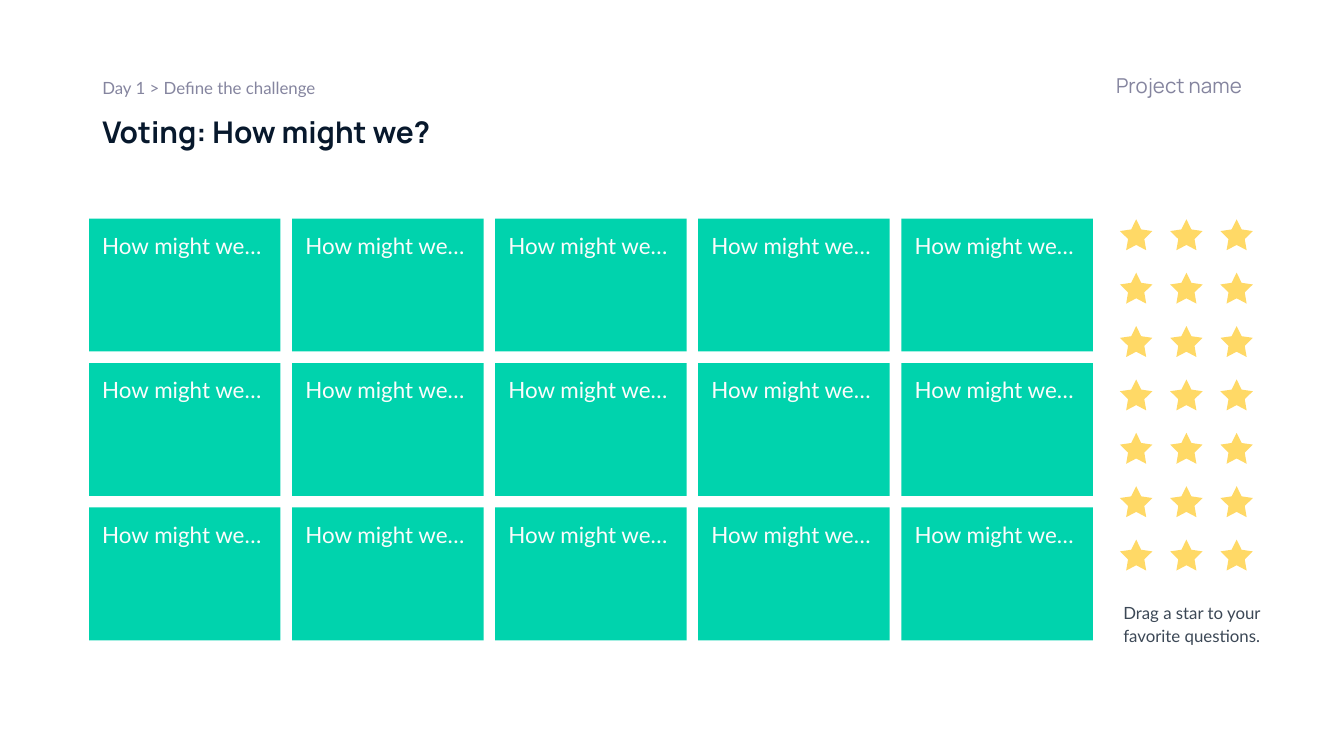
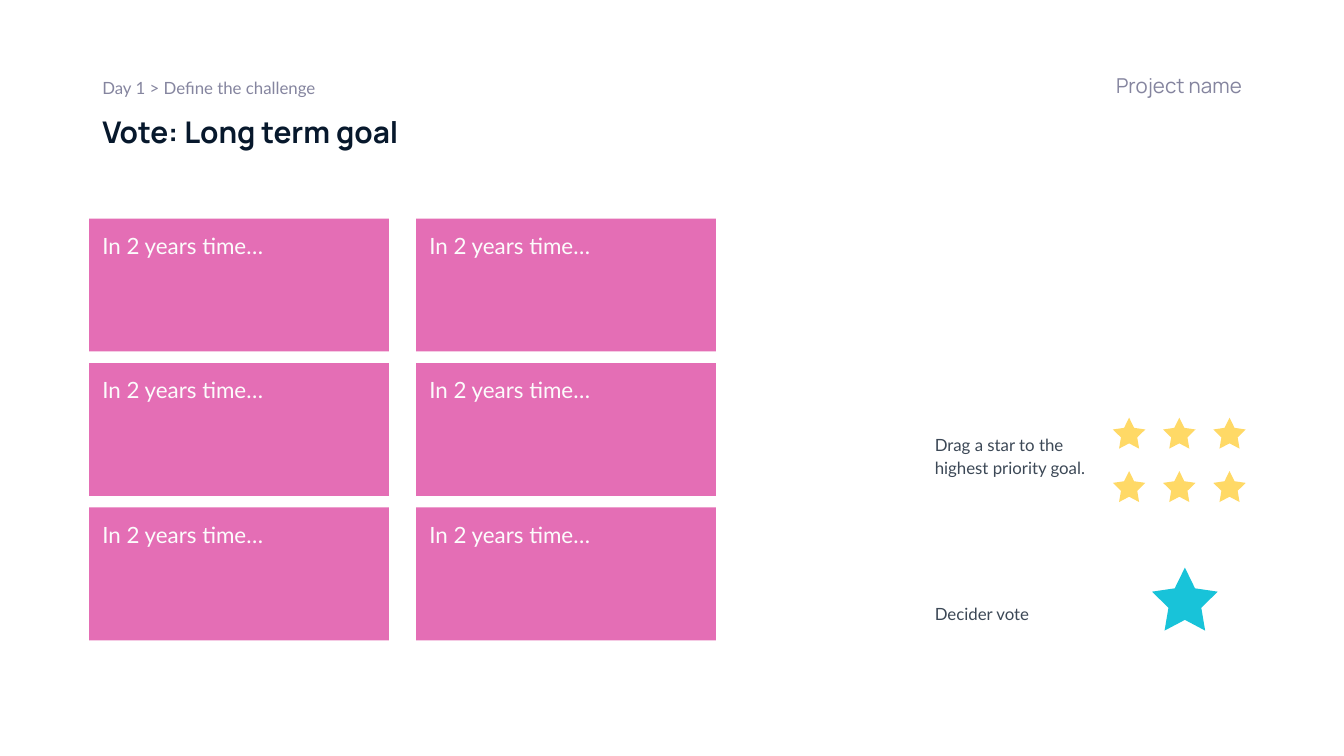
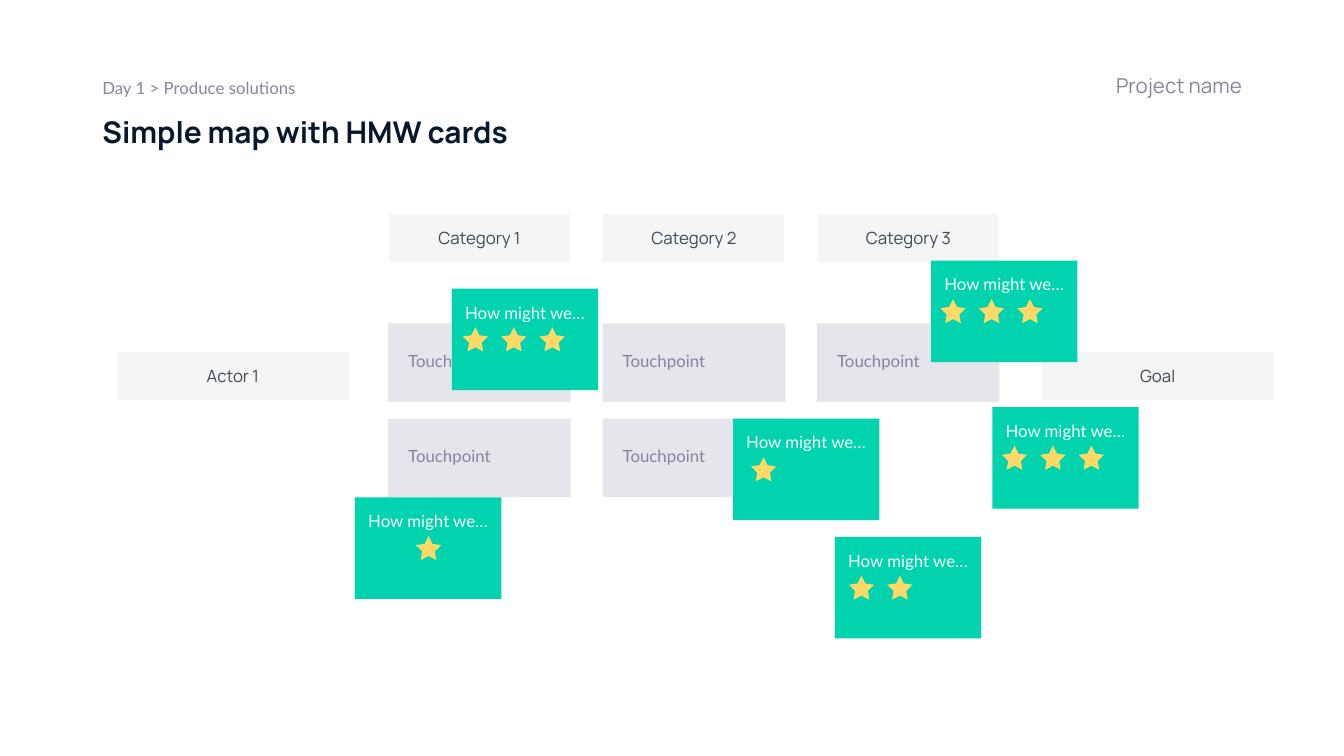
import pptx
import pptx.util
import pptx.dml.color
import pptx.enum.shapes
import pptx.enum.text

Pt = pptx.util.Pt
SHAPE = pptx.enum.shapes.MSO_SHAPE
ALIGN = pptx.enum.text.PP_ALIGN
ANCHOR = pptx.enum.text.MSO_ANCHOR

GREEN, PINK, CYAN, YELLOW = "00D3AD", "E46EB5", "18C3D9", "FFD966"
LIGHT, LILAC = "F5F5F5", "E5E5EB"
WHITE, NAVY, MUTED, SLATE = "FCFCFC", "07182C", "85859F", "3C4856"

# Text styles: font, colour, frame (insets are left, top, right, bottom) and paragraph
INSETS = (7.2, 7.2, 7.2, 7.2)
BASE = {"font": {"name": "Lato", "size": Pt(9), "bold": False}, "color": MUTED,
        "anchor": ANCHOR.TOP, "insets": INSETS,
        "para": {"alignment": ALIGN.LEFT}}


def style(font=None, **changes):
    return {**BASE, **changes, "font": {**BASE["font"], **(font or {})}}


TITLE = style({"name": "Manrope", "size": Pt(16), "bold": True}, color=NAVY)
CRUMB = style()
PROJECT = style({"name": "Manrope", "size": Pt(11)}, anchor=ANCHOR.BOTTOM,
                insets=(7.2, 7.2, 7.2, 4.5), para={"alignment": ALIGN.RIGHT})
CARD = style({"size": Pt(12)}, color=WHITE)
SMALL_CARD = style(color=WHITE, insets=(7.2, 7.2, 5, 7.2))
HINT_PARA = {"alignment": ALIGN.LEFT, "line_spacing": 1.15,
             "space_before": Pt(20), "space_after": Pt(6)}
HINT = style(color=SLATE, para=HINT_PARA)
HINT_MIDDLE = {**HINT, "anchor": ANCHOR.MIDDLE}
TOUCHPOINT = style(anchor=ANCHOR.MIDDLE, insets=(10.8, 7.2, 10.8, 7.2),
                   para={"alignment": ALIGN.LEFT, "line_spacing": 0.8})
HEADING = style({"name": "Manrope"}, color=SLATE, insets=(8.6, 7.2, 8.6, 7.2),
                para={"alignment": ALIGN.CENTER})

# Content; boxes are left, top, width, height in points
PROJECT_NAME = "Project name"
HMW = "How might we…"
VOTING = {
    "crumb": "Day 1 > Define the challenge", "title": "Voting: How might we?",
    "cards": {"text": HMW, "fill": GREEN, "columns": 5, "width": 102.6, "pitch": 108.8},
    "hints": [("Drag a star to your favorite questions.",
               (594.7, 324, 103, 19.4), HINT_MIDDLE)],
    "stars": {"left": 600, "top": 117.5, "rows": 7},
}
GOAL = {
    "crumb": "Day 1 > Define the challenge", "title": "Vote: Long term goal",
    "cards": {"text": "In 2 years time…", "fill": PINK, "columns": 2,
              "width": 160.7, "pitch": 175.2},
    "hints": [("Drag a star to the highest priority goal.", (493.7, 224, 96.8, 45.4), HINT),
              ("Decider vote", (493.7, 318.5, 96.8, 19.4), HINT_MIDDLE)],
    "stars": {"left": 596.2, "top": 223.8, "rows": 2},
}
DECIDER_STAR = (617.2, 304.1, 35.2, 33.8)
MAP_HEAD = {"crumb": "Day 1 > Produce solutions", "title": "Simple map with HMW cards"}
CATEGORIES = [("Category 1", 2), ("Category 2", 2), ("Category 3", 1)]  # touchpoints below
ENDS = [("Goal", 557.6), ("Actor 1", 62.1)]
# left, top, number of stars, indent of the first star
MAP_CARDS = [(498.8, 139.6, 3, 5), (447.3, 287.7, 2, 7.4), (242.1, 154.7, 3, 5.8),
             (392.7, 224.3, 1, 9.6), (531.6, 218.1, 3, 5.1), (190.2, 266.5, 1, 32.6)]

CARD_LEFT, CARD_TOP, CARD_HEIGHT, CARD_ROWS, CARD_PITCH = 47.7, 117.1, 71.2, 3, 77.4
STAR_SIZE, STAR_COLUMNS, STAR_PITCH = (17.4, 16.6), 3, (26.9, 28.6)
MAP_LEFT, MAP_PITCH, MAP_WIDTH = 207.9, 114.9, 97.8
MAP_STAR_SIZE, MAP_STAR_TOP, MAP_STAR_PITCH = (13.6, 13), 20.6, 20.6


def rgb(value):
    return pptx.dml.color.RGBColor.from_string(value)


def pts(box):
    return [Pt(v) for v in box]


def set_all(obj, values):
    for name, value in values.items():
        setattr(obj, name, value)


def format_text(holder, tf, text, fmt):
    """Write text in tf; holder is the text frame or table cell that owns the insets."""
    sides = ("margin_left", "margin_top", "margin_right", "margin_bottom")
    set_all(holder, dict(zip(sides, pts(fmt["insets"]))))
    holder.vertical_anchor = fmt["anchor"]
    p = tf.paragraphs[0]
    set_all(p, fmt["para"])
    r = p.add_run()
    r.text = text
    set_all(r.font, fmt["font"])
    r.font.color.rgb = rgb(fmt["color"])


def fill_frame(sp, text, fmt):
    tf = sp.text_frame
    tf.word_wrap = True
    tf.auto_size = pptx.enum.text.MSO_AUTO_SIZE.NONE
    format_text(tf, tf, text, fmt)


def add_text(shapes, text, box, fmt):
    fill_frame(shapes.add_textbox(*pts(box)), text, fmt)


def add_filled(shapes, kind, box, fill):
    sp = shapes.add_shape(kind, *pts(box))
    sp.shadow.inherit = False
    sp.fill.solid()
    sp.fill.fore_color.rgb = rgb(fill)
    sp.line.fill.background()
    return sp


def add_card(shapes, text, box, fill, fmt):
    fill_frame(add_filled(shapes, SHAPE.RECTANGLE, box, fill), text, fmt)


def add_star(shapes, box, fill=YELLOW):
    sp = add_filled(shapes, SHAPE.STAR_5_POINT, box, fill)
    sp.adjustments[0] = 0.25


def add_heading(shapes, text, left, top, width):
    """Add a one-row table whose two cells are merged."""
    table = shapes.add_table(1, 2, *pts((left, top, width, 25))).table
    table.first_row = table.horz_banding = False
    for column in table.columns:
        column.width = Pt(width / 2)
    for cell in table.iter_cells():
        cell.fill.solid()
        cell.fill.fore_color.rgb = rgb(LIGHT)
    cell = table.cell(0, 0)
    cell.merge(table.cell(0, 1))
    format_text(cell, cell.text_frame, text, HEADING)


def new_slide(prs, content):
    slide = prs.slides.add_slide(prs.slide_layouts[5])
    title = slide.shapes.title
    set_all(title, dict(zip(("left", "top", "width", "height"), pts((47.7, 53.6, 467, 33.8)))))
    fill_frame(title, content["title"], TITLE)
    add_text(slide.shapes, PROJECT_NAME, (360, 33, 312.5, 23.8), PROJECT)
    add_text(slide.shapes, content["crumb"], (47.7, 34.3, 154, 19.4), CRUMB)
    return slide.shapes


def add_vote_slide(prs, content):
    shapes = new_slide(prs, content)
    cards, stars = content["cards"], content["stars"]
    for col in range(cards["columns"]):
        for row in range(CARD_ROWS):
            box = (CARD_LEFT + col * cards["pitch"], CARD_TOP + row * CARD_PITCH,
                   cards["width"], CARD_HEIGHT)
            add_card(shapes, cards["text"], box, cards["fill"], CARD)
    for hint in content["hints"]:
        add_text(shapes, *hint)
    for row in range(stars["rows"]):
        for col in range(STAR_COLUMNS):
            add_star(shapes, (stars["left"] + col * STAR_PITCH[0],
                              stars["top"] + row * STAR_PITCH[1], *STAR_SIZE))
    return shapes


def add_map_slide(prs):
    shapes = new_slide(prs, MAP_HEAD)
    for i, (name, _) in enumerate(CATEGORIES):
        add_heading(shapes, name, MAP_LEFT + i * MAP_PITCH, 114.2, MAP_WIDTH)
    for name, left in ENDS:
        add_heading(shapes, name, left, 188, 125.2)
    for i, (_, touchpoints) in enumerate(CATEGORIES):
        for row in range(touchpoints):
            box = (MAP_LEFT + i * MAP_PITCH, 173.2 + row * 51.1, MAP_WIDTH, 42.1)
            add_card(shapes, "Touchpoint", box, LILAC, TOUCHPOINT)
    for left, top, count, indent in MAP_CARDS:
        group = shapes.add_group_shape().shapes
        add_card(group, HMW, (left, top, 78.4, 54.4), GREEN, SMALL_CARD)
        for i in range(count):
            add_star(group, (left + indent + i * MAP_STAR_PITCH, top + MAP_STAR_TOP,
                             *MAP_STAR_SIZE))


def main():
    prs = pptx.Presentation()
    prs.slide_width, prs.slide_height = Pt(720), Pt(405)
    add_vote_slide(prs, VOTING)
    add_star(add_vote_slide(prs, GOAL), DECIDER_STAR, CYAN)
    add_map_slide(prs)
    prs.save("out.pptx")


if __name__ == "__main__":
    main()
